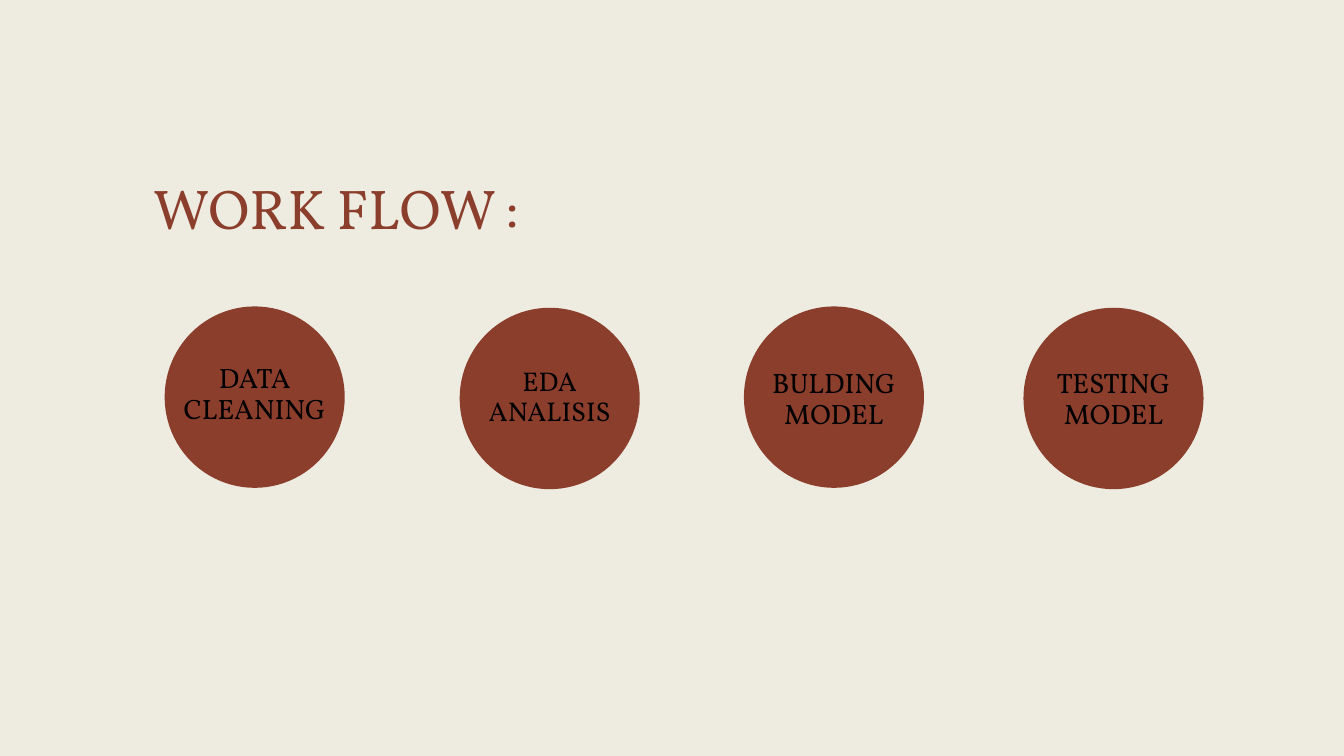
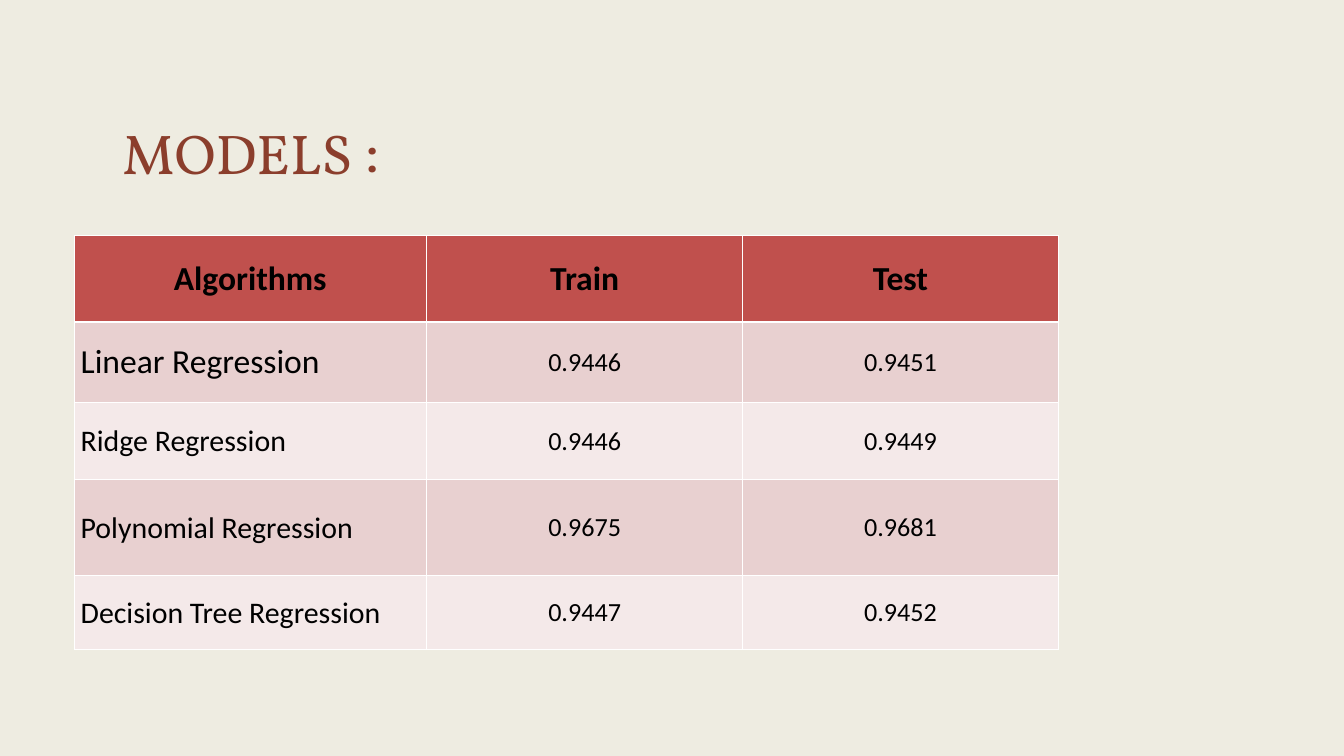
"""Build the work flow and model score slides."""
from dataclasses import dataclass

from lxml import etree
from pptx import Presentation
from pptx.dml.color import RGBColor
from pptx.enum import shapes, text
from pptx.oxml import ns
from pptx.util import Inches, Pt


@dataclass(frozen=True)
class Theme:
    """Colours, fonts and type sizes of the deck."""
    paper: str = "EEECE1"
    rust: str = "8B3E2C"
    ink: str = "000000"
    rule: str = "FFFFFF"
    header: str = "C0504D"
    bands: tuple = ("E8D0D0", "F4E9E9")
    serif: str = "Vollkorn"
    sans: str = "Calibri"
    title: float = 60
    title_colon: float = 67
    title_spacing: float = 73.7
    heading: float = 36
    algorithm: float = 32
    score: float = 28


@dataclass(frozen=True)
class Stage:
    """A work flow step in a circle."""
    label: str
    left: float
    top: float
    label_top: float
    size: float = 30


@dataclass(frozen=True)
class Model:
    """A table row with an algorithm and its scores."""
    algorithm: str
    train: str
    test: str
    height: float
    size: float = Theme.algorithm


THEME = Theme()
CIRCLE_WIDTH, CIRCLE_HEIGHT = 2.68, 2.7
LINE_RATIO = 1.1
HEADINGS = ("Algorithms", "Train", "Test")
HEADER_HEIGHT = 1.29
COLUMN_WIDTHS = (5.25, 4.7, 4.7)

STAGES = (
    Stage("DATA\nCLEANING", 2.45, 4.56, 5.41),
    Stage("EDA\nANALISIS", 6.84, 4.58, 5.46, 29),
    Stage("BULDING\nMODEL", 11.07, 4.56, 5.48),
    Stage("TESTING\nMODEL", 15.23, 4.58, 5.48),
)
MODELS = (
    Model("Linear Regression", "0.9446", "0.9451", 1.2, THEME.heading),
    Model("Ridge Regression", "0.9446", "0.9449", 1.15),
    Model("Polynomial Regression", "0.9675", "0.9681", 1.43),
    Model("Decision Tree Regression", "0.9447", "0.9452", 1.1),
)


def write(paragraph, words: str, *, size: float, font: str = THEME.serif,
          color: str = THEME.ink, bold: bool = False, centred: bool = True,
          spacing: float | None = None) -> None:
    """Append a formatted run to a paragraph."""
    paragraph.alignment = text.PP_ALIGN.CENTER if centred else text.PP_ALIGN.LEFT
    if spacing:
        paragraph.line_spacing = Pt(spacing)
    run = paragraph.add_run()
    run.text = words
    run.font.size = Pt(size)
    run.font.name = font
    run.font.bold = bold
    run.font.color.rgb = RGBColor.from_string(color)


def add_frame(slide, left: float, top: float, width: float, height: float):
    """Add a wrapping text box without margins and return its text frame."""
    frame = slide.shapes.add_textbox(
        Inches(left), Inches(top), Inches(width), Inches(height)).text_frame
    frame.word_wrap = True
    frame.margin_left = frame.margin_right = frame.margin_top = frame.margin_bottom = 0
    return frame


def add_slide(deck):
    """Add a blank slide on the paper colour."""
    slide = deck.slides.add_slide(deck.slide_layouts[6])
    slide.background.fill.solid()
    slide.background.fill.fore_color.rgb = RGBColor.from_string(THEME.paper)
    return slide


def add_title(slide, words: str, left: float, top: float, width: float,
              height: float, colon: str = "") -> None:
    """Add the slide title, with an optional larger colon."""
    paragraph = add_frame(slide, left, top, width, height).paragraphs[0]
    write(paragraph, words, size=THEME.title, color=THEME.rust, spacing=THEME.title_spacing)
    if colon:
        write(paragraph, colon, size=THEME.title_colon, color=THEME.rust,
              spacing=THEME.title_spacing)


def add_circle(slide, stage: Stage) -> None:
    """Draw the disc of a stage."""
    circle = slide.shapes.add_shape(
        shapes.MSO_SHAPE.OVAL, Inches(stage.left), Inches(stage.top),
        Inches(CIRCLE_WIDTH), Inches(CIRCLE_HEIGHT))
    circle.shadow.inherit = False
    circle.fill.solid()
    circle.fill.fore_color.rgb = RGBColor.from_string(THEME.rust)
    circle.line.fill.background()


def add_stage(slide, stage: Stage) -> None:
    """Draw a stage with its label."""
    add_circle(slide, stage)
    lines = stage.label.split("\n")
    spacing = stage.size * LINE_RATIO
    frame = add_frame(slide, stage.left, stage.label_top, CIRCLE_WIDTH,
                      len(lines) * spacing / 72)
    for index, line in enumerate(lines):
        paragraph = frame.add_paragraph() if index else frame.paragraphs[0]
        write(paragraph, line, size=stage.size, spacing=spacing)


def style_cell(cell, fill: str, top: float = 1, bottom: float = 1) -> None:
    """Give a cell its rules, fill and vertical anchor."""
    properties = cell._tc.get_or_add_tcPr()
    for side, weight in (("L", 1), ("R", 1), ("T", top), ("B", bottom)):
        line = etree.SubElement(properties, ns.qn(f"a:ln{side}"), w=str(Pt(weight)))
        solid = etree.SubElement(line, ns.qn("a:solidFill"))
        etree.SubElement(solid, ns.qn("a:srgbClr"), val=THEME.rule)
    cell.fill.solid()
    cell.fill.fore_color.rgb = RGBColor.from_string(fill)
    cell.vertical_anchor = text.MSO_ANCHOR.MIDDLE


def add_scores(slide, left: float, top: float) -> None:
    """Add the table of model scores."""
    heights = (HEADER_HEIGHT, *(model.height for model in MODELS))
    table = slide.shapes.add_table(
        len(heights), len(HEADINGS), Inches(left), Inches(top),
        Inches(sum(COLUMN_WIDTHS)), Inches(sum(heights))).table
    table.horz_banding = False
    for column, width in zip(table.columns, COLUMN_WIDTHS):
        column.width = Inches(width)
    for row, height in zip(table.rows, heights):
        row.height = Inches(height)
    for column, heading in enumerate(HEADINGS):
        cell = table.cell(0, column)
        style_cell(cell, THEME.header, bottom=3)
        write(cell.text_frame.paragraphs[0], heading, size=THEME.heading,
              font=THEME.sans, bold=True)
    for row, model in enumerate(MODELS):
        for column, words in enumerate((model.algorithm, model.train, model.test)):
            cell = table.cell(row + 1, column)
            style_cell(cell, THEME.bands[row % 2], top=1 if row else 3)
            write(cell.text_frame.paragraphs[0], words, font=THEME.sans,
                  size=THEME.score if column else model.size, centred=column > 0)


def main() -> None:
    """Build and save the deck."""
    deck = Presentation()
    deck.slide_width, deck.slide_height = Inches(20), Inches(11.25)

    work_flow = add_slide(deck)
    for stage in STAGES:
        add_stage(work_flow, stage)
    add_title(work_flow, "WORK FLOW :", 0, 2.56, 10, 0.97)

    models = add_slide(deck)
    add_title(models, "MODELS", 1.48, 1.76, 4.51, 1.04, colon=" :")
    add_scores(models, 1.1, 3.5)

    deck.save("out.pptx")


if __name__ == "__main__":
    main()
